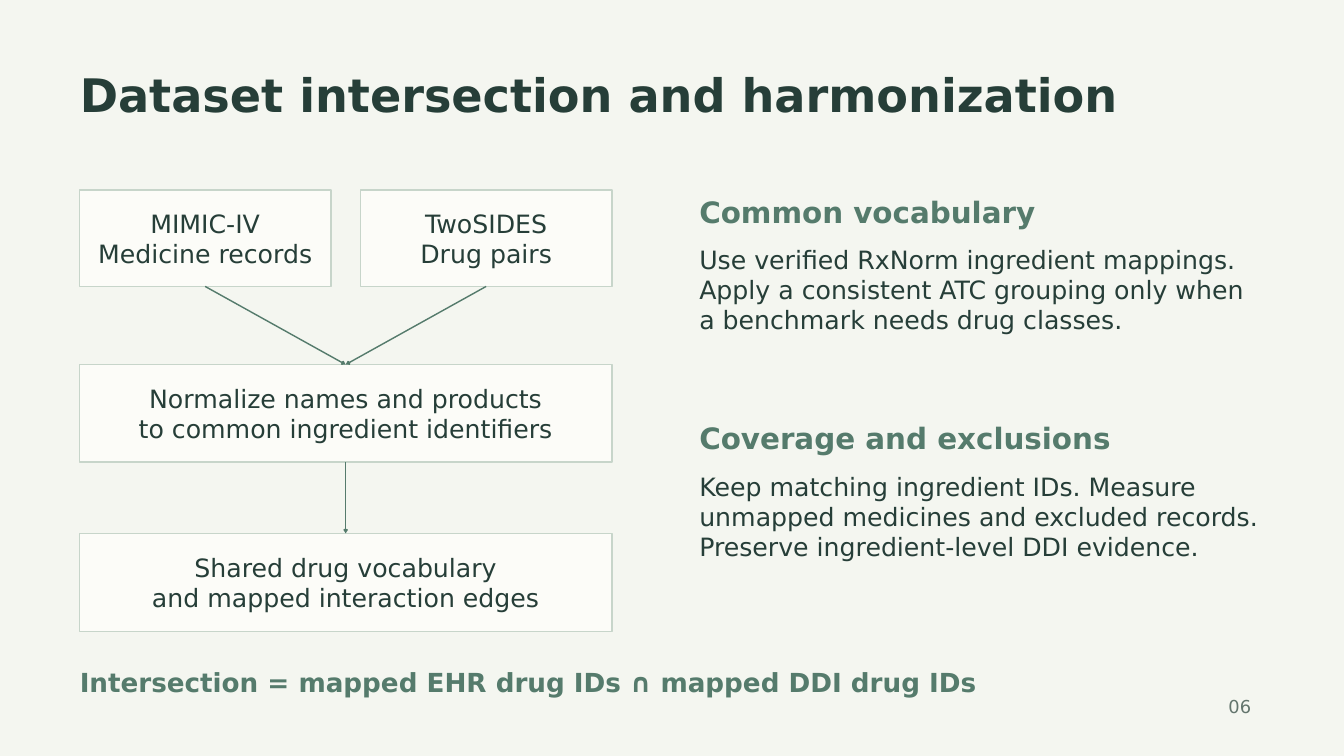
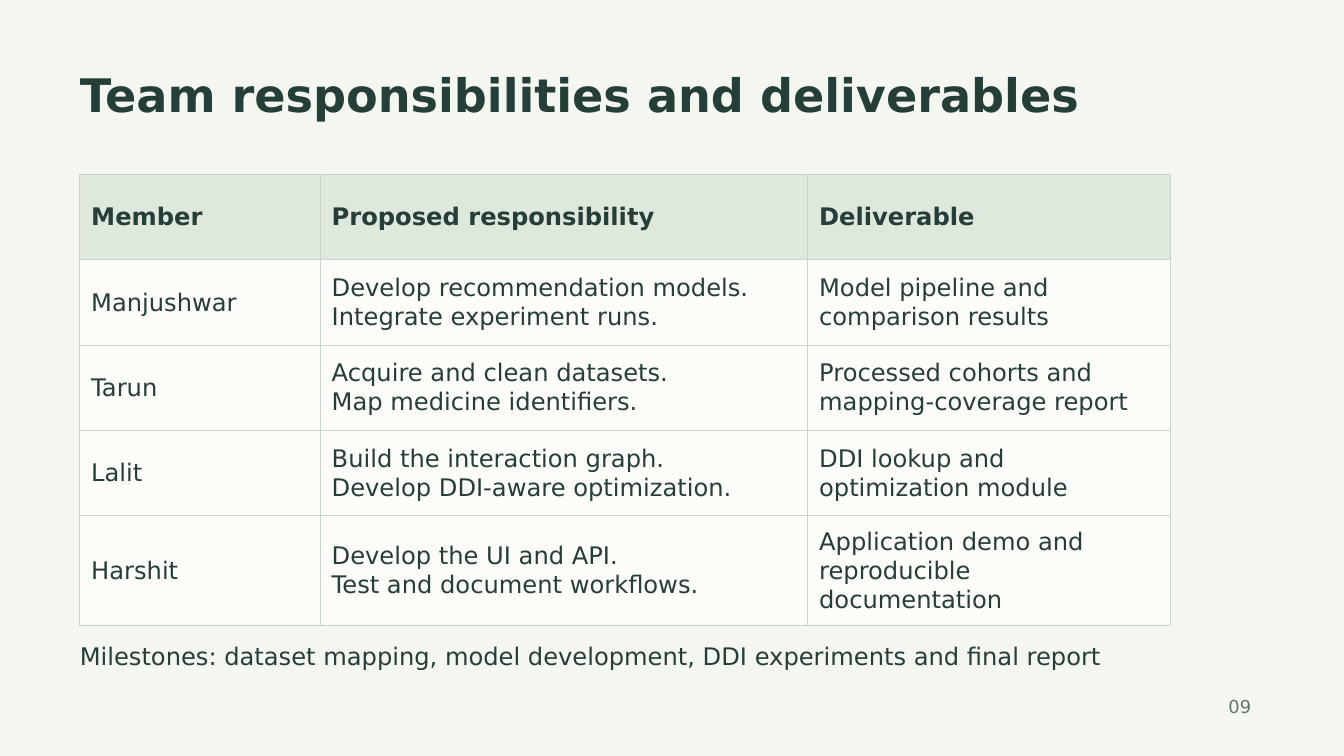
from lxml.etree import SubElement
from pptx import Presentation
from pptx.dml.color import RGBColor
from pptx.enum.shapes import MSO_CONNECTOR as Line, MSO_SHAPE as Shape
from pptx.enum.text import MSO_ANCHOR as Anchor, MSO_AUTO_SIZE as AutoSize, PP_ALIGN as Align
from pptx.oxml.ns import qn
from pptx.util import Inches, Pt

COLORS = {
    "background": "F4F6F0",
    "ink": "263E38",
    "accent": "557B6C",
    "muted": "63756D",
    "panel": "FCFCF8",
    "header": "DFE8DD",
    "border": "C7D5CA",
}
FONT = "DejaVu Sans"
WIDTH, HEIGHT = Inches(20), Inches(11.25)
COLUMNS, ROWS = 160, 90
LEFT, SPAN = 9.5, 141
TOP, BOTTOM = 0, 2


def color(name):
    return RGBColor.from_string(COLORS[name])


def cells(*lengths):
    units = (WIDTH / COLUMNS, HEIGHT / ROWS)
    return [round(n * units[i % 2]) for i, n in enumerate(lengths)]


def write(tf, text, size=27, ink="ink", bold=False, align=Align.LEFT,
          anchor=Anchor.TOP, inset=0, leading=None):
    tf.word_wrap = True
    tf.vertical_anchor = anchor
    tf.margin_left = tf.margin_right = tf.margin_top = tf.margin_bottom = Inches(inset)
    for i, line in enumerate(text.split("\n")):
        p = tf.add_paragraph() if i else tf.paragraphs[0]
        p.alignment = align
        p.line_spacing = Pt(leading or round(size * 1.2, 1))
        p.space_before = p.space_after = Pt(0)
        r = p.add_run()
        r.text = line
        r.font.name = FONT
        r.font.size = Pt(size)
        r.font.bold = bold
        r.font.color.rgb = color(ink)


class Deck:
    def __init__(self):
        self.prs = Presentation()
        self.prs.slide_width, self.prs.slide_height = WIDTH, HEIGHT
        fill = self.prs.slide_master.background.fill
        fill.solid()
        fill.fore_color.rgb = color("background")
        self.s = None

    def slide(self, title, number):
        self.s = self.prs.slides.add_slide(self.prs.slide_layouts[5])
        sp = self.s.shapes.title
        sp.left, sp.top, sp.width, sp.height = cells(LEFT, 7.9, SPAN, 10)
        sp.text_frame.auto_size = AutoSize.NONE
        write(sp.text_frame, title, size=49.5, bold=True)
        self.text(number, 146.25, 82.8, 5.6, 3.8, size=19.1, ink="muted")

    def text(self, text, x, y, w, h, **style):
        sp = self.s.shapes.add_textbox(*cells(x, y, w, h))
        write(sp.text_frame, text, **style)

    def section(self, heading, body, x, y, w):
        self.text(heading, x, y, w, 5.3, size=31.5, ink="accent", bold=True)
        self.text(body, x, y + 6, w, 18.8)

    def box(self, text, x, y, w, h):
        sp = self.s.shapes.add_shape(Shape.RECTANGLE, *cells(x, y, w, h))
        sp.shadow.inherit = False
        sp.fill.solid()
        sp.fill.fore_color.rgb = color("panel")
        sp.line.color.rgb = color("border")
        sp.line.width = Pt(1.69)
        write(sp.text_frame, text, align=Align.CENTER, anchor=Anchor.MIDDLE, inset=0.06)
        return sp

    def arrow(self, source, target):
        line = self.s.shapes.add_connector(Line.STRAIGHT, 0, 0, 0, 0)
        line.begin_connect(source, BOTTOM)
        line.end_connect(target, TOP)
        line.line.color.rgb = color("accent")
        line.line.width = Pt(1.5)
        SubElement(line.line._get_or_add_ln(), qn("a:tailEnd"), type="arrow", w="sm", len="sm")
        SubElement(line._element.spPr, qn("a:effectLst"))

    def table(self, rows, x, y, w, h, shares):
        frame = self.s.shapes.add_table(len(rows), len(shares), *cells(x, y, w, h))
        table = frame.table
        for column, share in zip(table.columns, shares):
            column.width = round(frame.width * share / sum(shares))
        for i, row in enumerate(rows):
            for j, text in enumerate(row):
                self.cell(table.cell(i, j), text, header=i == 0)

    def cell(self, cell, text, header):
        write(cell.text_frame, text, size=25.9, bold=header, leading=31)
        cell.vertical_anchor = Anchor.MIDDLE
        cell.margin_left = cell.margin_right = Inches(0.17)
        cell.margin_top = cell.margin_bottom = Inches(0.17)
        tc_pr = cell._tc.get_or_add_tcPr()
        for side in ("lnL", "lnR", "lnT", "lnB"):
            ln = SubElement(tc_pr, qn(f"a:{side}"), w=str(Pt(0.75)))
            fill = SubElement(ln, qn("a:solidFill"))
            SubElement(fill, qn("a:srgbClr"), val=COLORS["border"])
        cell.fill.solid()
        cell.fill.fore_color.rgb = color("header" if header else "panel")


def harmonization(deck):
    deck.slide("Dataset intersection and harmonization", "06")
    x, full, half = 9.45, 63.4, 29.95
    records = deck.box("MIMIC-IV\nMedicine records", x, 22.6, half, 11.5)
    pairs = deck.box("TwoSIDES\nDrug pairs", x + full - half, 22.6, half, 11.5)
    normalize = deck.box("Normalize names and products\nto common ingredient identifiers",
                         x, 43.4, full, 11.6)
    shared = deck.box("Shared drug vocabulary\nand mapped interaction edges",
                      x, 63.5, full, 11.7)
    for source, target in ((records, normalize), (pairs, normalize), (normalize, shared)):
        deck.arrow(source, target)

    sections = [
        ("Common vocabulary",
         "Use verified RxNorm ingredient mappings. Apply a consistent ATC grouping only when "
         "a benchmark needs drug classes."),
        ("Coverage and exclusions",
         "Keep matching ingredient IDs. Measure unmapped medicines and excluded records. "
         "Preserve ingredient-level DDI evidence."),
    ]
    for i, (heading, body) in enumerate(sections):
        deck.section(heading, body, 83.25, 23.05 + 27 * i, 67.25)
    deck.text("Intersection = mapped EHR drug IDs ∩ mapped DDI drug IDs",
              LEFT, 79.35, SPAN, 4.4, size=28.1, ink="accent", bold=True)


def responsibilities(deck):
    deck.slide("Team responsibilities and deliverables", "09")
    rows = [
        ("Member", "Proposed responsibility", "Deliverable"),
        ("Manjushwar", "Develop recommendation models.\nIntegrate experiment runs.",
         "Model pipeline and\ncomparison results"),
        ("Tarun", "Acquire and clean datasets.\nMap medicine identifiers.",
         "Processed cohorts and\nmapping-coverage report"),
        ("Lalit", "Build the interaction graph.\nDevelop DDI-aware optimization.",
         "DDI lookup and\noptimization module"),
        ("Harshit", "Develop the UI and API.\nTest and document workflows.",
         "Application demo and\nreproducible documentation"),
    ]
    deck.table(rows, LEFT, 20.75, 140.85, 50.8, shares=(3.58, 8.34, 5.69))
    deck.text("Milestones: dataset mapping, model development, DDI experiments and final report",
              LEFT, 76.4, SPAN, 4.6, size=25.9, leading=31)


def main():
    deck = Deck()
    harmonization(deck)
    responsibilities(deck)
    deck.prs.save("out.pptx")


if __name__ == "__main__":
    main()
